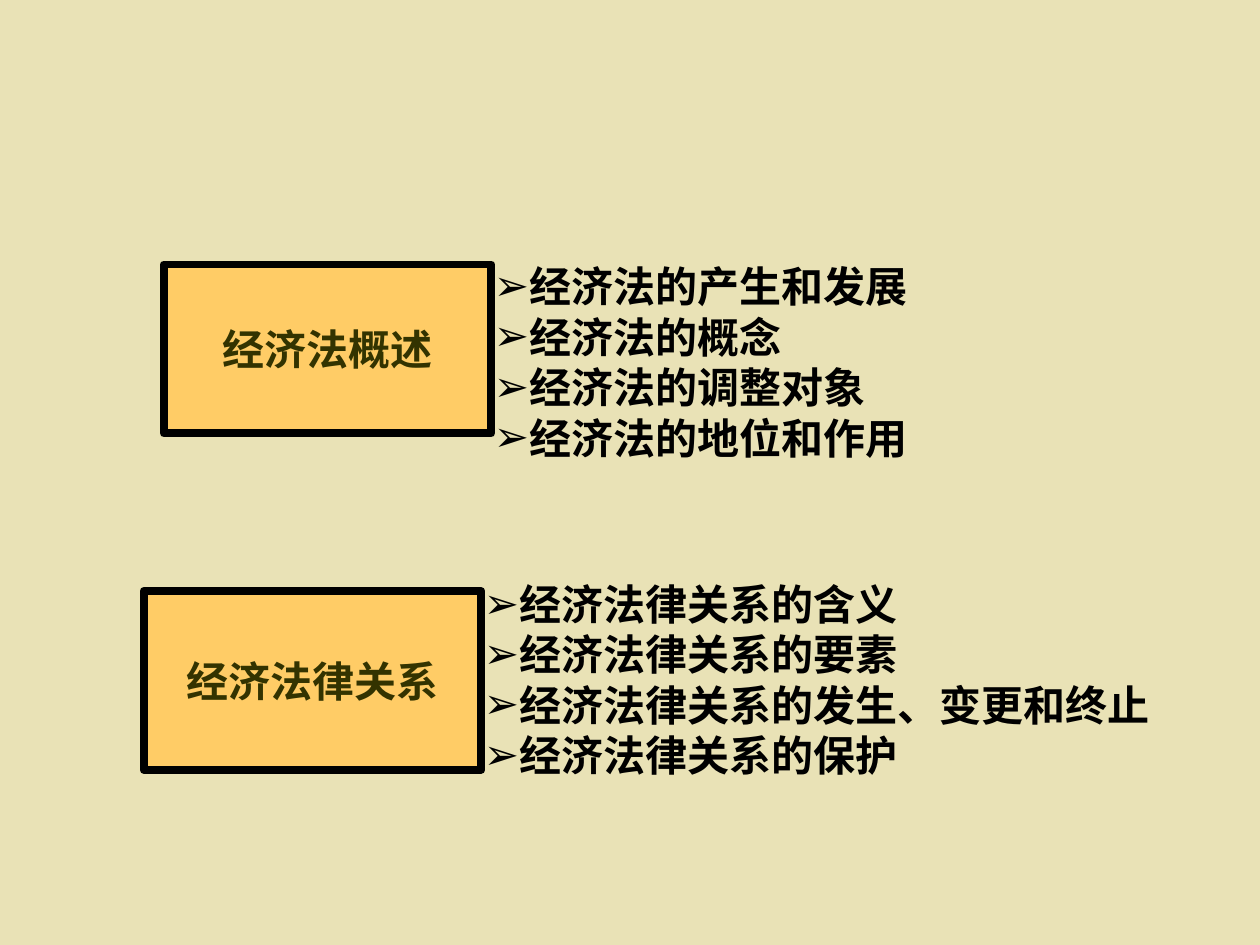
"""Build a slide with two topic boxes, each beside its list of points."""
from typing import NamedTuple

from lxml.etree import SubElement
from pptx import Presentation
from pptx.dml.color import RGBColor
from pptx.enum.shapes import MSO_SHAPE as Preset
from pptx.enum.text import MSO_ANCHOR as Anchor, MSO_AUTO_SIZE as AutoSize, PP_ALIGN as Align
from pptx.oxml.ns import qn
from pptx.slide import Slide
from pptx.text.text import TextFrame
from pptx.util import Inches, Pt

COLUMNS, ROWS = 500, 375
CELL = Inches(0.02)
FONT_NAME, FONT_SIZE = "Arial", Pt(24)
BACKGROUND = RGBColor(0xE9, 0xE2, 0xB6)
BOX_FILL = RGBColor(0xFF, 0xCC, 0x66)
BOX_TEXT = RGBColor(0x33, 0x33, 0x00)
BLACK = RGBColor(0x00, 0x00, 0x00)


class Area(NamedTuple):
    """A rectangle in grid columns and rows."""
    column: float
    row: float
    columns: float
    rows: float


class Topic(NamedTuple):
    """A boxed heading and the points listed beside it."""
    heading: str
    box: Area
    points: tuple[str, ...]
    list_area: Area


TOPICS = (
    Topic("经济法概述", Area(65, 105, 130, 67),
          ("经济法的产生和发展", "经济法的概念", "经济法的调整对象", "经济法的地位和作用"),
          Area(191, 101, 250, 85)),
    Topic("经济法律关系", Area(57, 234.5, 134, 71),
          ("经济法律关系的含义", "经济法律关系的要素",
           "经济法律关系的发生、变更和终止", "经济法律关系的保护"),
          Area(187, 227, 295.5, 85)),
)


def to_lengths(area: Area) -> list[int]:
    """Convert grid units to slide lengths."""
    return [int(units * CELL) for units in area]


def format_text(text_frame: TextFrame, color: RGBColor) -> None:
    """Apply the shared bold font to every run."""
    for paragraph in text_frame.paragraphs:
        for run in paragraph.runs:
            run.font.name, run.font.size, run.font.bold = FONT_NAME, FONT_SIZE, True
            run.font.color.rgb = color


def draw_box(slide: Slide, topic: Topic) -> None:
    """Draw the outlined heading box."""
    shape = slide.shapes.add_shape(Preset.RECTANGLE, *to_lengths(topic.box))
    shape.shadow.inherit = False
    shape.fill.solid()
    shape.fill.fore_color.rgb = BOX_FILL
    shape.line.color.rgb = BLACK
    shape.line.width = Pt(4.5)
    text_frame = shape.text_frame
    text_frame.text = topic.heading
    text_frame.word_wrap = False
    text_frame.vertical_anchor = Anchor.MIDDLE
    text_frame.paragraphs[0].alignment = Align.CENTER
    format_text(text_frame, BOX_TEXT)


def fill_list(slide: Slide, placeholder_index: int, topic: Topic) -> None:
    """Place a body placeholder and fill it with arrow-bulleted points."""
    shape = slide.placeholders[placeholder_index]
    shape.left, shape.top, shape.width, shape.height = to_lengths(topic.list_area)
    text_frame = shape.text_frame
    text_frame.text = "\n".join(topic.points)
    text_frame.word_wrap = True
    text_frame.auto_size = AutoSize.SHAPE_TO_FIT_TEXT
    text_frame.vertical_anchor = Anchor.TOP
    for paragraph in text_frame.paragraphs:
        paragraph.space_before = Pt(0)
        properties = paragraph._p.get_or_add_pPr()
        properties.set("marL", "0")
        properties.set("indent", "0")
        bullet_color = SubElement(properties, qn("a:buClr"))
        SubElement(bullet_color, qn("a:srgbClr"), val=str(BLACK))
        SubElement(properties, qn("a:buFont"), typeface=FONT_NAME)
        SubElement(properties, qn("a:buChar"), char="➢")
    format_text(text_frame, BLACK)


def main() -> None:
    """Assemble and save the presentation."""
    presentation = Presentation()
    presentation.slide_width, presentation.slide_height = COLUMNS * CELL, ROWS * CELL
    slide = presentation.slides.add_slide(presentation.slide_layouts.get_by_name("Two Content"))
    slide.background.fill.solid()
    slide.background.fill.fore_color.rgb = BACKGROUND
    title = slide.shapes.title.element
    title.getparent().remove(title)
    for placeholder_index, topic in enumerate(TOPICS, start=1):
        draw_box(slide, topic)
        fill_list(slide, placeholder_index, topic)
    presentation.save("out.pptx")


if __name__ == "__main__":
    main()
